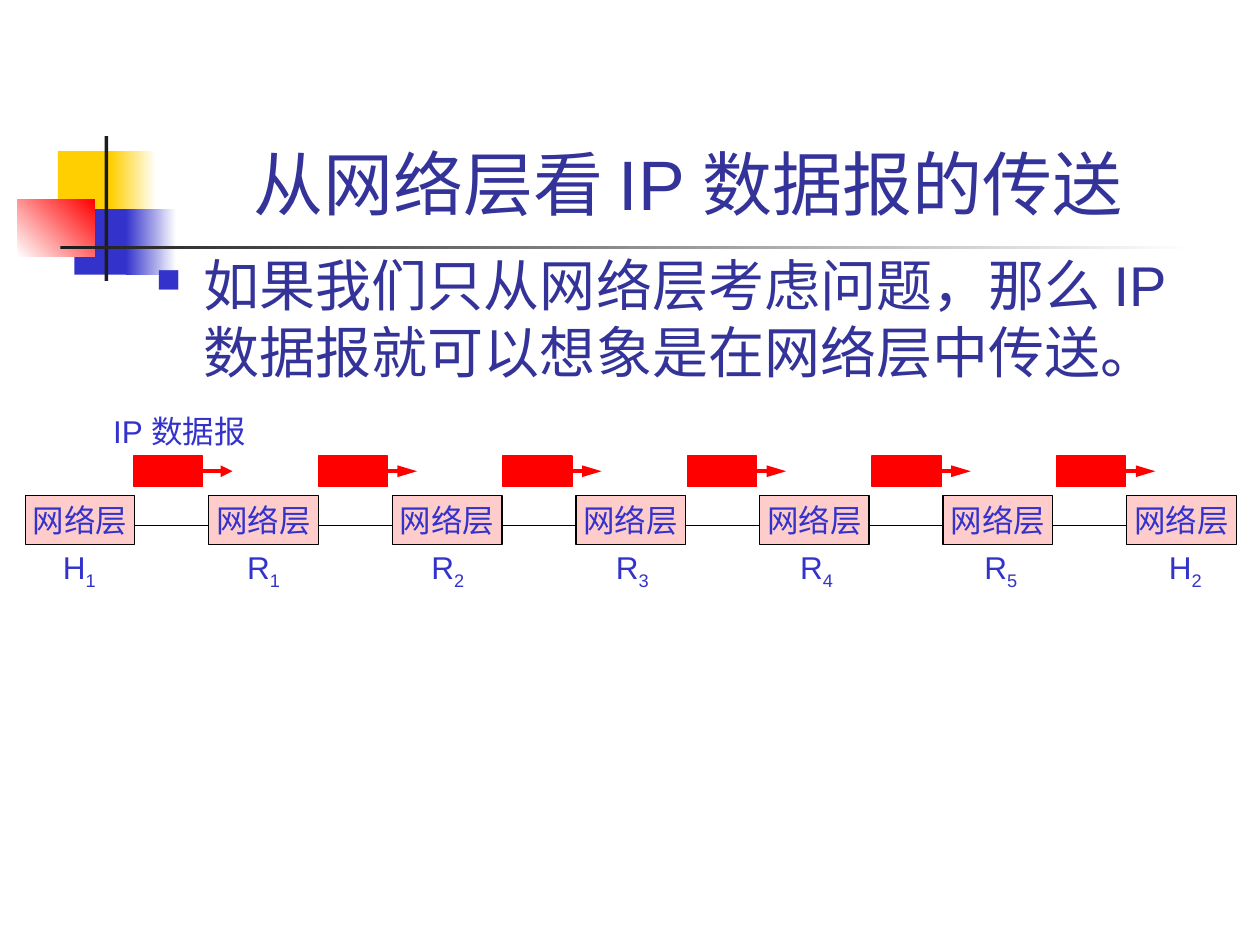
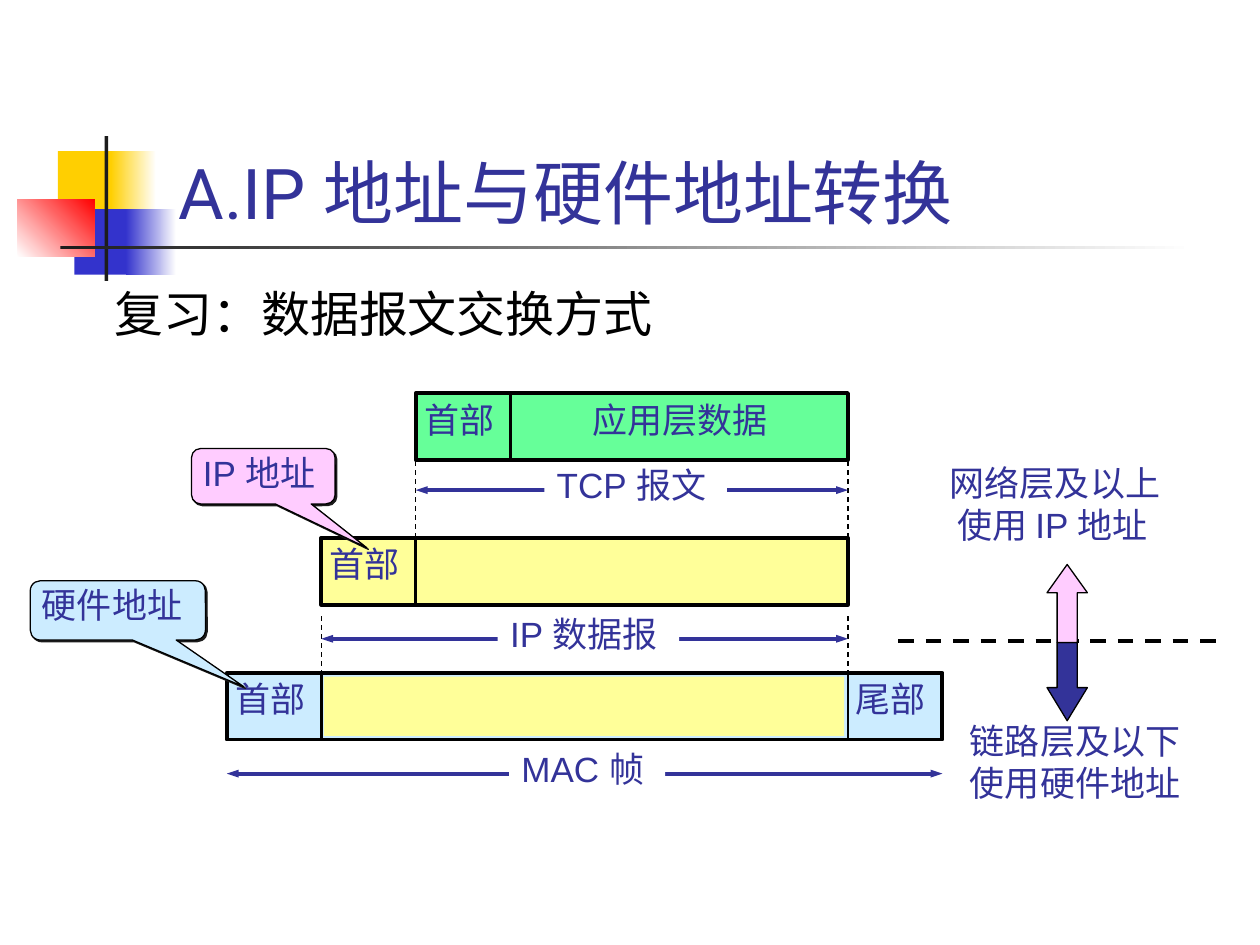
from dataclasses import dataclass
from typing import NamedTuple

from lxml.etree import SubElement
from pptx import Presentation
from pptx.dml.color import RGBColor
from pptx.enum.dml import MSO_LINE
from pptx.enum.lang import MSO_LANGUAGE_ID
from pptx.enum.shapes import MSO_CONNECTOR, MSO_SHAPE
from pptx.enum.text import MSO_ANCHOR, MSO_AUTO_SIZE, PP_ALIGN
from pptx.oxml.ns import qn
from pptx.util import Emu, Inches, Pt

# Grid: 100 columns by 75 rows of square cells
SLIDE_WIDTH, SLIDE_HEIGHT = Inches(10), Inches(7.5)
CELL = SLIDE_WIDTH // 100

# Colours and fonts
WHITE = RGBColor(0xFF, 0xFF, 0xFF)
BLACK = RGBColor(0x00, 0x00, 0x00)
INK = RGBColor(0x1C, 0x1C, 0x1C)
GOLD = RGBColor(0xFF, 0xCF, 0x01)
BLUE = RGBColor(0x33, 0x33, 0xCC)
NAVY = RGBColor(0x33, 0x33, 0x99)
RED = RGBColor(0xFF, 0x00, 0x00)
ROSE = RGBColor(0xFF, 0xCC, 0xCC)
PINK = RGBColor(0xFF, 0xCC, 0xFF)
SKY = RGBColor(0xCC, 0xEC, 0xFF)
GREEN = RGBColor(0x66, 0xFF, 0x99)
YELLOW = RGBColor(0xFF, 0xFF, 0x99)
ARIAL, ROBOTO = "Arial", "Roboto"


class Box(NamedTuple):
    """A place on the grid, in columns and rows."""
    left: float
    top: float
    width: float
    height: float

    def emu(self) -> list[Emu]:
        return [cells(length) for length in self]


class TextStyle(NamedTuple):
    size: float
    color: RGBColor
    font: str = ARIAL


TITLE = TextStyle(40, NAVY)
LATIN_TITLE = TextStyle(40, NAVY, ROBOTO)
BODY = TextStyle(32, NAVY)
REVIEW = TextStyle(28, BLACK, ROBOTO)
NODE = TextStyle(18, BLUE)
FIELD = TextStyle(20, NAVY)


@dataclass(frozen=True)
class EmblemPart:
    box: Box
    start: RGBColor
    end: RGBColor | None = None
    angle: float = 0


EMBLEM = [
    EmblemPart(Box(4.6, 12, 4.8, 5.2), GOLD),
    EmblemPart(Box(8.8, 12, 3.6, 5.2), GOLD, WHITE),
    EmblemPart(Box(5.9, 16.6, 4.6, 5.2), BLUE),
    EmblemPart(Box(10, 16.6, 4, 5.2), BLUE, WHITE),
    EmblemPart(Box(1.4, 15.8, 6.1, 4.6), WHITE, RED, 45),
    EmblemPart(Box(8.3, 10.8, 0.3, 11.5), INK),
    EmblemPart(Box(4.8, 19.5, 90, 0.3), INK, WHITE),
]


@dataclass(frozen=True)
class Field:
    text: str
    left: float
    width: float


@dataclass(frozen=True)
class Packet:
    left: float
    top: float
    right: float
    fill: RGBColor
    dividers: list[float]
    fields: list[Field]
    span_row: float
    caption: Field


# Each layer adds one header to the left of the layer above
HEADER = 7.5
MAC_LEFT = 18
IP_LEFT = MAC_LEFT + HEADER
TCP_LEFT = IP_LEFT + HEADER
DATA_LEFT = TCP_LEFT + HEADER
DATA_RIGHT = 67.3
MAC_RIGHT = DATA_RIGHT + HEADER
PACKET_HEIGHT = 5.3


def header_field(left: float) -> Field:
    return Field("首部", left - 0.3, HEADER)


PACKETS = [
    Packet(TCP_LEFT, 31.2, DATA_RIGHT, GREEN, [DATA_LEFT],
           [header_field(TCP_LEFT), Field("应用层数据", 46, 15.9)],
           38.9, Field("TCP 报文", 43.2, 14.5)),
    Packet(IP_LEFT, 42.7, DATA_RIGHT, YELLOW, [TCP_LEFT],
           [header_field(IP_LEFT)], 50.7, Field("IP 数据报", 39.5, 14.4)),
    Packet(MAC_LEFT, 53.4, MAC_RIGHT, SKY, [IP_LEFT, DATA_RIGHT],
           [header_field(MAC_LEFT), Field("尾部", DATA_RIGHT - 0.4, HEADER)],
           61.4, Field("MAC 帧", 40.4, 12.4)),
]


@dataclass(frozen=True)
class AddressScope:
    """One kind of address: its callout, its arrow and the layers using it."""
    callout: Box
    address: str
    tail: tuple[float, float]
    fill: RGBColor
    arrow: MSO_SHAPE
    arrow_top: float
    head: float
    arrow_fill: RGBColor
    note: Box
    lines: str
    second_indent: float


SCOPES = [
    AddressScope(Box(2.4, 46.1, 13.9, 4.7), "硬件地址", (0.72, 1.29), SKY,
                 MSO_SHAPE.DOWN_ARROW, 51, 0.82, NAVY,
                 Box(76, 56.6, 18.7, 7.7), "链路层及以下\n使用硬件地址", 0),
    AddressScope(Box(15.2, 35.6, 11.4, 4.4), "IP 地址", (0.72, 1.29), PINK,
                 MSO_SHAPE.UP_ARROW, 44.8, 0.7, PINK,
                 Box(74.4, 36.1, 19.1, 7.7), "网络层及以上\n使用 IP 地址", 0.6),
]


# Drawing helpers
def cells(count: float) -> Emu:
    return Emu(round(count * CELL))


def style_run(run, style: TextStyle) -> None:
    run.font.size = Pt(style.size)
    run.font.name = style.font
    run.font.color.rgb = style.color
    run.font.language_id = MSO_LANGUAGE_ID.SIMPLIFIED_CHINESE


def write(shape, text: str, style: TextStyle, align=PP_ALIGN.LEFT,
          anchor=MSO_ANCHOR.TOP, wrap: bool = False) -> None:
    frame = shape.text_frame
    frame.text = text
    frame.word_wrap = wrap
    frame.auto_size = MSO_AUTO_SIZE.NONE
    frame.vertical_anchor = anchor
    for paragraph in frame.paragraphs:
        paragraph.alignment = align
        for run in paragraph.runs:
            style_run(run, style)


def add_text(slide, box: Box, text: str, style: TextStyle, wrap: bool = False):
    label = slide.shapes.add_textbox(*box.emu())
    write(label, text, style, wrap=wrap)
    return label


def add_block(slide, box: Box, fill: RGBColor, outline: RGBColor | None = None,
              weight: float = 0.75, kind=MSO_SHAPE.RECTANGLE):
    block = slide.shapes.add_shape(kind, *box.emu())
    block.shadow.inherit = False
    block.fill.solid()
    block.fill.fore_color.rgb = fill
    if outline is None:
        block.line.fill.background()
    else:
        block.line.color.rgb = outline
        block.line.width = Pt(weight)
    return block


def add_line(slide, start: tuple[float, float], end: tuple[float, float],
             color: RGBColor = BLACK, weight: float = 0.75, dashed: bool = False,
             heads: tuple[str, ...] = (), head_size: tuple[str, str] = ("med", "med")):
    line = slide.shapes.add_connector(
        MSO_CONNECTOR.STRAIGHT, *map(cells, (*start, *end)))
    line.line.color.rgb = color
    line.line.width = Pt(weight)
    if dashed:
        line.line.dash_style = MSO_LINE.DASH
    properties = line.element.spPr
    for head in heads:
        SubElement(properties.find(qn("a:ln")), qn(f"a:{head}"),
                   type="triangle", w=head_size[0], len=head_size[1])
    SubElement(properties, qn("a:effectLst"))
    return line


def add_drop_shadow(shape) -> None:
    effects = shape.element.spPr.find(qn("a:effectLst"))
    shadow = SubElement(effects, qn("a:outerShdw"), dist=str(Pt(1.4)),
                        dir="2700000", algn="ctr", rotWithShape="0")
    SubElement(shadow, qn("a:srgbClr"), val=str(INK))


def add_bullet(paragraph, hanging: float) -> None:
    properties = paragraph._p.get_or_add_pPr()
    properties.set("marL", str(cells(hanging)))
    properties.set("indent", str(-cells(hanging)))
    color = SubElement(properties, qn("a:buClr"))
    SubElement(color, qn("a:srgbClr"), val=str(BLUE))
    SubElement(properties, qn("a:buSzPct"), val="60000")
    SubElement(properties, qn("a:buChar"), char="■")


def add_titled_slide(deck, box: Box, title: str, style: TextStyle,
                     align, anchor, wrap: bool):
    slide = deck.slides.add_slide(deck.slide_layouts.get_by_name("Title Only"))
    for part in EMBLEM:
        block = add_block(slide, part.box, part.start)
        if part.end is not None:
            block.fill.gradient()
            block.fill.gradient_angle = part.angle
            for stop, color in zip(block.fill.gradient_stops, (part.start, part.end)):
                stop.color.rgb = color
    heading = slide.shapes.title
    heading.left, heading.top, heading.width, heading.height = box.emu()
    write(heading, title, style, align, anchor, wrap)
    return slide


# Slide 1: datagrams passing from host to host at the network layer
def build_datagram_path(deck) -> None:
    slide = add_titled_slide(deck, Box(12, 2.3, 85.2, 16), "从网络层看 IP 数据报的传送",
                             TITLE, PP_ALIGN.CENTER, MSO_ANCHOR.BOTTOM, True)
    body = add_text(slide, Box(11.4, 19.4, 85, 14.2),
                    "如果我们只从网络层考虑问题，那么 IP 数据报就可以想象是在网络层中传送。",
                    BODY, wrap=True)
    add_bullet(body.text_frame.paragraphs[0], 3.8)

    add_line(slide, (8.3, 41.7), (92.5, 41.7))
    nodes = ["H1", "R1", "R2", "R3", "R4", "R5", "H2"]
    for index, (letter, number) in enumerate(nodes):
        layer = add_block(slide, Box(2 + 14.57 * index, 39.3, 8.7, 3.9), ROSE, BLACK)
        write(layer, "网络层", NODE, PP_ALIGN.CENTER, MSO_ANCHOR.MIDDLE)
        name = add_text(slide, Box(4 + 14.63 * index, 43, 4.6, 4.4), letter, NODE)
        subscript = name.text_frame.paragraphs[0].add_run()
        subscript.text = number
        style_run(subscript, NODE)
        subscript._r.get_or_add_rPr().set("baseline", "-25000")

    # One datagram leaves every node except the last
    add_text(slide, Box(8, 32.2, 13.1, 4), "IP 数据报", NODE)
    for hop in range(len(nodes) - 1):
        left = 10.6 + 14.65 * hop
        datagram = add_block(slide, Box(left, 36.2, 5.5, 2.4), RED, RED)
        arrow = add_line(slide, (left + 5.5, 37.4), (left + 7.85, 37.4), RED, 2.25,
                         heads=("tailEnd",), head_size=("med", "lg" if hop else "med"))
        arrow.begin_connect(datagram, 3)


# Slide 2: encapsulation and the addresses used by each layer
def draw_packet(slide, packet: Packet) -> None:
    add_line(slide, (packet.left, packet.span_row), (packet.right, packet.span_row),
             NAVY, 2.25, heads=("headEnd", "tailEnd"), head_size=("sm", "med"))
    caption = packet.caption
    label = add_block(slide, Box(caption.left, packet.span_row - 2.6, caption.width, 4.4), WHITE)
    write(label, caption.text, FIELD)
    add_block(slide, Box(packet.left, packet.top, packet.right - packet.left, PACKET_HEIGHT),
              packet.fill, BLACK, 2.25)
    for column in packet.dividers:
        add_line(slide, (column, packet.top), (column, packet.top + PACKET_HEIGHT), weight=1.5)
    for field in packet.fields:
        add_text(slide, Box(field.left, packet.top - 0.1, field.width, 4.4), field.text, FIELD)


def draw_scope(slide, scope: AddressScope) -> None:
    arrow = add_block(slide, Box(83.1, scope.arrow_top, 3.2, 6.2),
                      scope.arrow_fill, BLACK, kind=scope.arrow)
    arrow.adjustments[1] = scope.head
    note = add_text(slide, scope.note, scope.lines, FIELD)
    second_line = note.text_frame.paragraphs[1]._p.get_or_add_pPr()
    second_line.set("marL", str(cells(scope.second_indent)))
    callout = add_block(slide, scope.callout, scope.fill, BLACK,
                        kind=MSO_SHAPE.ROUNDED_RECTANGULAR_CALLOUT)
    callout.adjustments[0], callout.adjustments[1] = scope.tail
    add_drop_shadow(callout)
    write(callout, scope.address, FIELD, wrap=True)
    frame = callout.text_frame
    frame.margin_left = cells(0.7)
    frame.margin_top = frame.margin_right = frame.margin_bottom = 0


def build_address_layers(deck) -> None:
    slide = add_titled_slide(deck, Box(13.2, 11.4, 65, 7.7), "A.IP 地址与硬件地址转换",
                             LATIN_TITLE, PP_ALIGN.LEFT, MSO_ANCHOR.TOP, False)
    add_text(slide, Box(8.1, 22, 44.7, 5.7), "复习：数据报文交换方式", REVIEW)
    # Guides from each packet down to the one that carries it
    for left, top, bottom in ((TCP_LEFT, 36.6, 42.7), (IP_LEFT, 48.9, 53.4)):
        for column in (left, DATA_RIGHT):
            add_line(slide, (column, top), (column, bottom), dashed=True)
    add_line(slide, (71.3, 50.9), (96.5, 50.9), weight=2.25, dashed=True)
    for packet in PACKETS:
        draw_packet(slide, packet)
    add_block(slide, Box(IP_LEFT + 0.2, 53.7, 41.3, 4.7), YELLOW)
    for scope in SCOPES:
        draw_scope(slide, scope)


def main() -> None:
    deck = Presentation()
    deck.slide_width, deck.slide_height = SLIDE_WIDTH, SLIDE_HEIGHT
    build_datagram_path(deck)
    build_address_layers(deck)
    deck.save("out.pptx")


if __name__ == "__main__":
    main()
